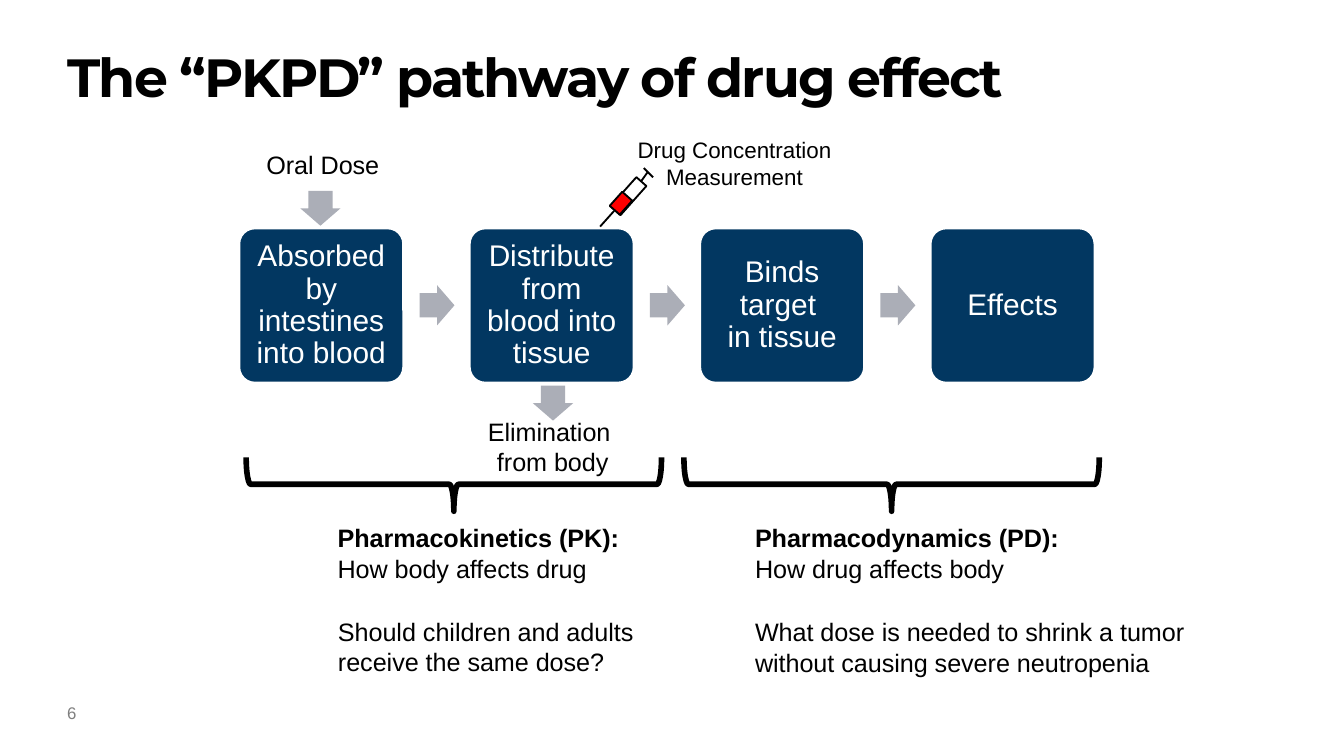
"""Build the slide on the PKPD pathway of drug effect."""
from lxml.etree import SubElement
from pptx import Presentation
from pptx.dml.color import RGBColor
from pptx.enum.shapes import MSO_CONNECTOR, MSO_SHAPE
from pptx.enum.text import MSO_ANCHOR, PP_ALIGN
from pptx.oxml.ns import qn
from pptx.util import Pt

BLACK = RGBColor(0x00, 0x00, 0x00)
WHITE = RGBColor(0xFF, 0xFF, 0xFF)
NAVY = RGBColor(0x02, 0x37, 0x61)
SILVER = RGBColor(0xAB, 0xAE, 0xB7)
GRAY = RGBColor(0x7F, 0x7F, 0x7F)
RED = RGBColor(0xFF, 0x00, 0x00)

deck = Presentation()
deck.slide_width, deck.slide_height = Pt(720), Pt(405)
slide = deck.slides.add_slide(deck.slide_layouts[6])
shapes = slide.shapes


def write(shape, lines, size=13.5, font="Arial", color=BLACK, bold=0, align=PP_ALIGN.LEFT,
          anchor=MSO_ANCHOR.TOP, inset=(7.2, 3.6), wrap=False, lead=None, track=None):
    frame = shape.text_frame
    frame.word_wrap = wrap
    frame.vertical_anchor = anchor
    frame.margin_left = frame.margin_right = Pt(inset[0])
    frame.margin_top = frame.margin_bottom = Pt(inset[1])
    for i, line in enumerate(lines):
        para = frame.add_paragraph() if i else frame.paragraphs[0]
        para.text = line
        para.alignment = align
        para.line_spacing = lead
        for run in para.runs:
            run.font.name, run.font.size = font, Pt(size)
            run.font.bold = i < bold
            run.font.color.rgb = color
            if track:
                run.font._element.set("spc", str(track))


def draw(kind, box, fill=None, line=None, width=1, turn=0, adjust=()):
    shape = shapes.add_shape(kind, *map(Pt, box))
    shape.shadow.inherit = False
    shape.rotation = turn
    for i, value in enumerate(adjust):
        shape.adjustments[i] = value
    if fill is None:
        shape.fill.background()
    else:
        shape.fill.solid()
        shape.fill.fore_color.rgb = fill
    if line is None:
        shape.line.fill.background()
    else:
        shape.line.color.rgb = line
        shape.line.width = Pt(width)
    return shape


title = shapes.add_textbox(Pt(36), Pt(27.2), Pt(571), Pt(57))
write(title, ["The “PKPD” pathway of drug effect"], size=28.8, font="Montserrat",
      bold=1, inset=(0, 0), wrap=True, lead=0.9, track=-100)

steps = ["Absorbed by intestines into blood", "Distribute from blood into tissue",
         "Binds target \nin tissue", "Effects"]
arrows = [(162.3, 100.8, 90), (286.9, 205.2, 90)]
for i, step in enumerate(steps):
    left = 128.2 + 123.45 * i
    card = draw(MSO_SHAPE.ROUNDED_RECTANGLE, (left, 122.4, 87.8, 82.6),
                fill=NAVY, line=WHITE, adjust=[0.1])
    write(card, [step], size=16, color=WHITE, align=PP_ALIGN.CENTER,
          anchor=MSO_ANCHOR.MIDDLE, inset=(4.2, 4.2), wrap=True, lead=0.9)
    if i < len(steps) - 1:
        arrows.append((left + 96.6, 152.8, 0))
for left, top, turn in arrows:
    draw(MSO_SHAPE.RIGHT_ARROW, (left, top, 18.7, 21.6), fill=SILVER, turn=turn,
         adjust=[0.6, 0.5])

page = shapes.add_textbox(Pt(36), Pt(376.6), Pt(18), Pt(18))
write(page, ["6"], size=9, color=GRAY, inset=(0, 0), wrap=True)

ask = draw(MSO_SHAPE.RECTANGLE, (397.4, 326.9, 262.8, 40.3), fill=WHITE)
write(ask, ["What dose is needed to shrink a tumor without causing severe neutropenia"], wrap=True)

MID = PP_ALIGN.CENTER
notes = [
    ((135.6, 76.7, 75.6, 23.8), ["Oral Dose"], {}),
    ((253.6, 219.6, 85, 40.3), ["Elimination ", "from body"], {"align": MID}),
    ((173.8, 276.5, 167.8, 40.3), ["Pharmacokinetics (PK):", "How body affects drug"],
     {"bold": 1}),
    ((397.4, 276.5, 179.3, 40.3), ["Pharmacodynamics (PD):", "How drug affects body"],
     {"bold": 1}),
    ((174, 326.6, 177.8, 40.3), ["Should children and adults receive the same dose?"],
     {"wrap": True}),
    ((333.8, 69.4, 119.5, 36), ["Drug Concentration", "Measurement"],
     {"size": 12, "align": MID}),
]
for box, lines, style in notes:
    write(shapes.add_textbox(*map(Pt, box)), lines, **style)

draw(MSO_SHAPE.RECTANGLE, (326.2, 101.5, 20.9, 7.2), line=BLACK, turn=131.6)
draw(MSO_SHAPE.RECTANGLE, (327.6, 105.3, 10.1, 7.2), fill=RED, line=BLACK, turn=131.6)
for ends in [(329, 113, 321.5, 121.4), (347, 92.2, 343.4, 97.2), (349.9, 95, 344.9, 90)]:
    rod = shapes.add_connector(MSO_CONNECTOR.STRAIGHT, *map(Pt, ends))
    rod.line.color.rgb = BLACK
    rod.line.width = Pt(1)
    SubElement(rod._element.spPr, qn("a:effectLst"))

for left in (228.7, 463.2):
    draw(MSO_SHAPE.LEFT_BRACE, (left, 148.2, 28.9, 222.5), line=BLACK, width=3, turn=270)

deck.save("out.pptx")
